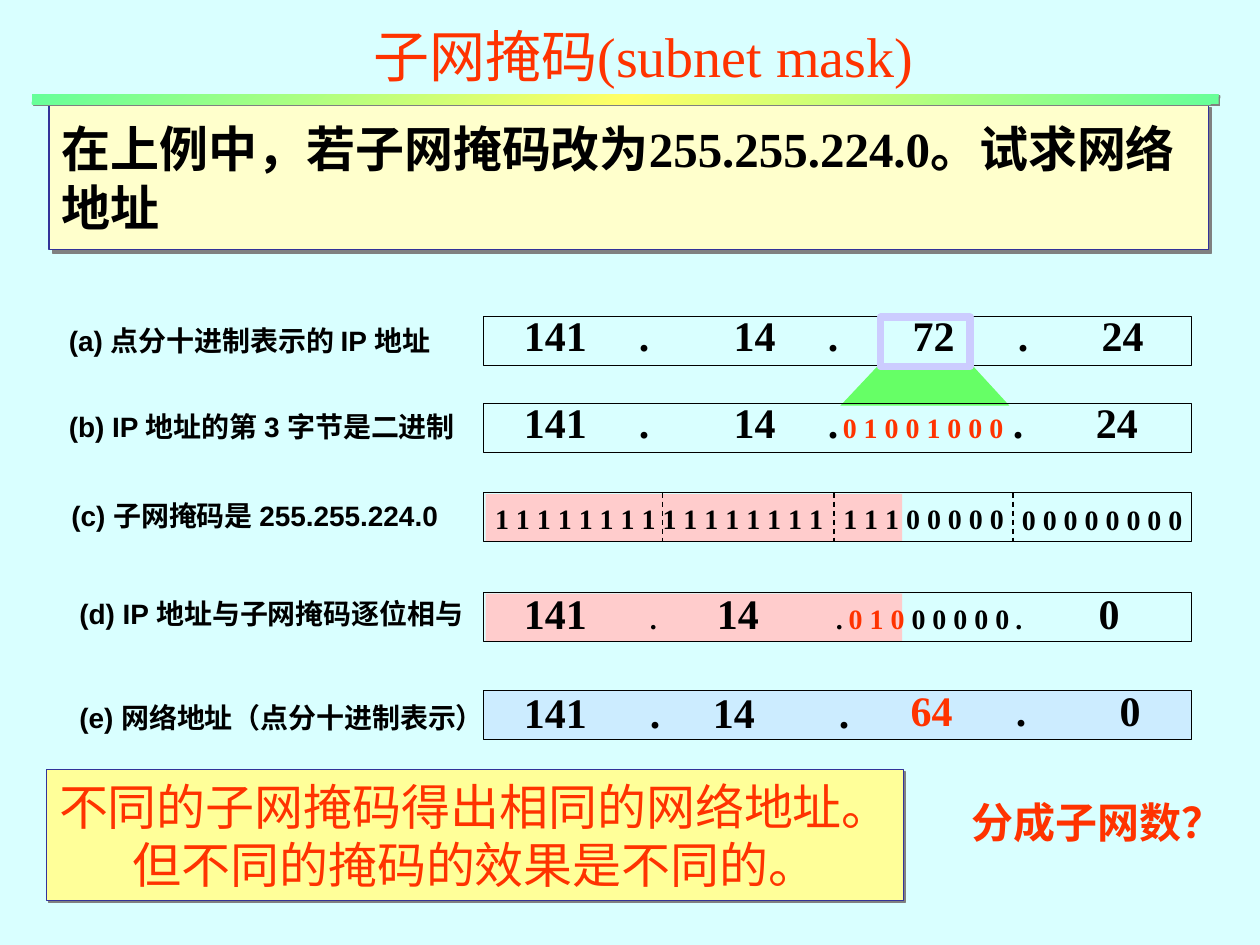
from lxml import etree
from pptx import Presentation
from pptx import util as u
from pptx.dml.color import RGBColor
from pptx.enum import dml, shapes, text
from pptx.oxml import parse_xml
from pptx.oxml.ns import nsdecls, qn
from pptx.util import Cm

COLORS = {
    "background": "D9FFFF", "black": "000000", "red": "FF3300", "navy": "333399",
    "cream": "FFFFCC", "yellow": "FFFF99", "pink": "FFCCCC", "sky": "CCECFF",
    "lime": "66FF66", "lilac": "CCCCFF", "gray": "808080",
    "bar_edge": "66FF99", "bar_middle": "FFFF66",
}
SERIF = "Times New Roman"
BYTES_LEFT, BYTES_WIDTH, ROW_HEIGHT = 9.75, 14.27, 0.99
ROW_TOPS = {"a": 6.38, "b": 8.13, "c": 9.93, "d": 11.94, "e": 13.92}


def rgb(name):
    return RGBColor.from_string(COLORS[name])


def style_shape(shape, fill=None, line=None, width=0.75):
    if fill:
        shape.fill.solid()
        shape.fill.fore_color.rgb = rgb(fill)
    else:
        shape.fill.background()
    if line:
        shape.line.color.rgb = rgb(line)
        shape.line.width = u.Pt(width)
    else:
        shape.line.fill.background()


def add_box(slide, left, top, width, height, fill=None, line=None, weight=0.75):
    shape = slide.shapes.add_shape(shapes.MSO_SHAPE.RECTANGLE,
                                   Cm(left), Cm(top), Cm(width), Cm(height))
    shape.shadow.inherit = False
    style_shape(shape, fill, line, weight)
    return shape


def cast_shadow(shape, points):
    """Give the shape a hard gray shadow to the lower right."""
    shape.shadow.inherit = False
    effects = shape._element.spPr.find(qn("a:effectLst"))
    effects.append(parse_xml(
        f'<a:outerShdw {nsdecls("a")} dist="{int(u.Pt(points))}" dir="2700000" '
        f'algn="ctr" rotWithShape="0"><a:srgbClr val="{COLORS["gray"]}"/></a:outerShdw>'))


def add_run(paragraph, words, size, color="black", font=SERIF, bold=True):
    run = paragraph.add_run()
    run.text = words
    run.font.size = u.Pt(size)
    run.font.name = font
    run.font.bold = bold
    run.font.color.rgb = rgb(color)


def set_tabs(paragraph, stops):
    tabs = etree.SubElement(paragraph._p.get_or_add_pPr(), qn("a:tabLst"))
    for stop in stops:
        etree.SubElement(tabs, qn("a:tab"), pos=str(int(Cm(stop))), algn="l")


def add_text(slide, left, top, width, height, runs, stops=(), wrap=False):
    """Add one line of (words, size, ...) runs, with tab stops measured from its start."""
    box = slide.shapes.add_textbox(Cm(left), Cm(top), Cm(width), Cm(height))
    frame = box.text_frame
    frame.word_wrap = wrap
    frame.auto_size = text.MSO_AUTO_SIZE.SHAPE_TO_FIT_TEXT
    paragraph = frame.paragraphs[0]
    if stops:
        set_tabs(paragraph, stops)
    for run in runs:
        add_run(paragraph, *run)
    return box


def add_divider(slide, left):
    top = ROW_TOPS["c"]
    line = slide.shapes.add_connector(shapes.MSO_CONNECTOR.STRAIGHT, Cm(left), Cm(top),
                                      Cm(left), Cm(top + ROW_HEIGHT))
    line.line.color.rgb = rgb("black")
    line.line.width = u.Pt(0.75)
    line.line.dash_style = dml.MSO_LINE.DASH
    etree.SubElement(line._element.spPr, qn("a:effectLst"))


def add_zoom(slide):
    """Widen the third byte of row a to its binary digits in row b."""
    top, bottom = Cm(7.32), Cm(8.18)
    builder = slide.shapes.build_freeform(Cm(17.75), top)
    builder.add_line_segments([(Cm(19.56), top), (Cm(20.35), bottom), (Cm(16.94), bottom)])
    shape = builder.convert_to_shape()
    shape.shadow.inherit = False
    style_shape(shape, "lime")


def add_heading(slide):
    box = add_text(slide, 2.49, 0, 20.96, 2.21,
                   [("子网掩码(subnet mask)", 32, "red", SERIF, False)], wrap=True)
    frame = box.text_frame
    frame.auto_size = text.MSO_AUTO_SIZE.NONE
    frame.vertical_anchor = text.MSO_ANCHOR.MIDDLE
    frame.paragraphs[0].alignment = text.PP_ALIGN.CENTER

    bar = add_box(slide, 0.64, 1.9, 23.93, 0.2)
    bar.fill.gradient()
    gradient = bar._element.spPr.find(qn("a:gradFill"))
    stops = "".join(
        f'<a:gs pos="{position}"><a:srgbClr val="{COLORS[name]}"/></a:gs>'
        for position, name in ((0, "bar_edge"), (50000, "bar_middle"), (100000, "bar_edge")))
    gradient.getparent().replace(gradient, parse_xml(
        f'<a:gradFill {nsdecls("a")} rotWithShape="0"><a:gsLst>{stops}</a:gsLst>'
        '<a:lin ang="2700000" scaled="1"/></a:gradFill>'))
    cast_shadow(bar, 1.4)


def format_question(title):
    title.left, title.top, title.width, title.height = Cm(0.99), Cm(2.11), Cm(23.37), Cm(2.92)
    style_shape(title, "cream", "navy")
    cast_shadow(title, 2.8)
    frame = title.text_frame
    frame.word_wrap = True
    frame.auto_size = text.MSO_AUTO_SIZE.NONE
    frame.vertical_anchor = text.MSO_ANCHOR.MIDDLE
    paragraph = frame.paragraphs[0]
    paragraph.alignment = text.PP_ALIGN.LEFT
    add_run(paragraph, "在上例中，若子网掩码改为255.255.224.0。试求网络地址", 28)


def add_conclusion(slide):
    box = add_box(slide, 0.94, 15.52, 17.27, 2.64, "yellow", "navy")
    cast_shadow(box, 1.4)
    frame = box.text_frame
    frame.word_wrap = False
    frame.vertical_anchor = text.MSO_ANCHOR.TOP
    lines = ("不同的子网掩码得出相同的网络地址。", "但不同的掩码的效果是不同的。")
    for index, words in enumerate(lines):
        paragraph = frame.add_paragraph() if index else frame.paragraphs[0]
        paragraph.alignment = text.PP_ALIGN.CENTER
        add_run(paragraph, words, 28, "red", "Roboto", False)
    add_text(slide, 19.33, 15.93, 5.59, 1.27, [("分成子网数？", 24, "red")])


def main():
    presentation = Presentation()
    presentation.slide_width, presentation.slide_height = Cm(25.4), Cm(19.05)
    slide = presentation.slides.add_slide(presentation.slide_layouts[5])
    slide.background.fill.solid()
    slide.background.fill.fore_color.rgb = rgb("background")

    format_question(slide.shapes.title)
    add_zoom(slide)
    for row in "cd":
        add_box(slide, 9.79, ROW_TOPS[row] + 0.03, 8.4, 0.96, "pink")
    for row, top in ROW_TOPS.items():
        add_box(slide, BYTES_LEFT, top, BYTES_WIDTH, ROW_HEIGHT,
                "sky" if row == "e" else None, "black")
    for left in (13.36, 16.81, 20.42):
        add_divider(slide, left)

    labels = (
        (1.14, 6.4, 8.36, "(a) 点分十进制表示的 IP 地址"),
        (1.14, 8.13, 8.86, "(b) IP 地址的第 3 字节是二进制"),
        (1.19, 9.93, 8.31, "(c) 子网掩码是 255.255.224.0"),
        (1.35, 11.91, 8.41, "(d) IP 地址与子网掩码逐位相与"),
        (1.35, 14.0, 8.81, "(e) 网络地址（点分十进制表示）"),
    )
    for left, top, width, words in labels:
        add_text(slide, left, top, width, 0.91, [(words, 16, "black", "Arial")])

    byte_texts = (
        (10.31, 6.12, 7.1, [("141\t.\t14\t.", 24)], (2.32, 4.23, 6.13)),
        (18.15, 6.12, 5.6, [("72\t.\t24", 24)], (2.12, 3.81)),
        (10.31, 7.87, 7.1, [("141\t.\t14\t.", 24)], (2.32, 4.23, 6.13)),
        (20.17, 7.87, 3.4, [(".\t24", 24)], (1.67,)),
        (10.31, 11.71, 10.6,
         [("141", 24), ("\t.\t", 16), ("14", 24), ("\t.\t", 16),
          ("0 1 0", 16, "red"), (" 0 0 0 0 0", 16)], (2.54, 3.89, 6.29, 6.55)),
        (20.22, 11.71, 3.0, [(".\t", 16), ("0", 24)], (1.68,)),
        (10.31, 13.72, 7.3, [("141\t.\t14\t.", 24)], (2.54, 3.81, 6.35)),
        (18.11, 13.67, 5.6, [("64", 24, "red"), ("\t.\t0", 24)], (2.12, 4.21)),
    )
    for left, top, width, runs, stops in byte_texts:
        add_text(slide, left, top, width, 1.27, runs, stops, wrap=True)

    digit_texts = (
        (16.74, 8.15, 4.1, [("0 1 0 0 1 0 0 0", 16, "red")], ()),
        (9.73, 9.99, 11, [(" ".join("1" * 16), 16), ("\t1 1 1 0 0 0 0 0", 16)], (7.02,)),
        (20.35, 10.01, 4.1, [("0 0 0 0 0 0 0 0", 16)], ()),
    )
    for left, top, width, runs, stops in digit_texts:
        add_text(slide, left, top, width, 0.91, runs, stops, wrap=True)

    add_box(slide, 17.75, 6.4, 1.8, ROW_HEIGHT, line="lilac", weight=4.5)
    add_conclusion(slide)
    add_heading(slide)
    presentation.save("out.pptx")


if __name__ == "__main__":
    main()
